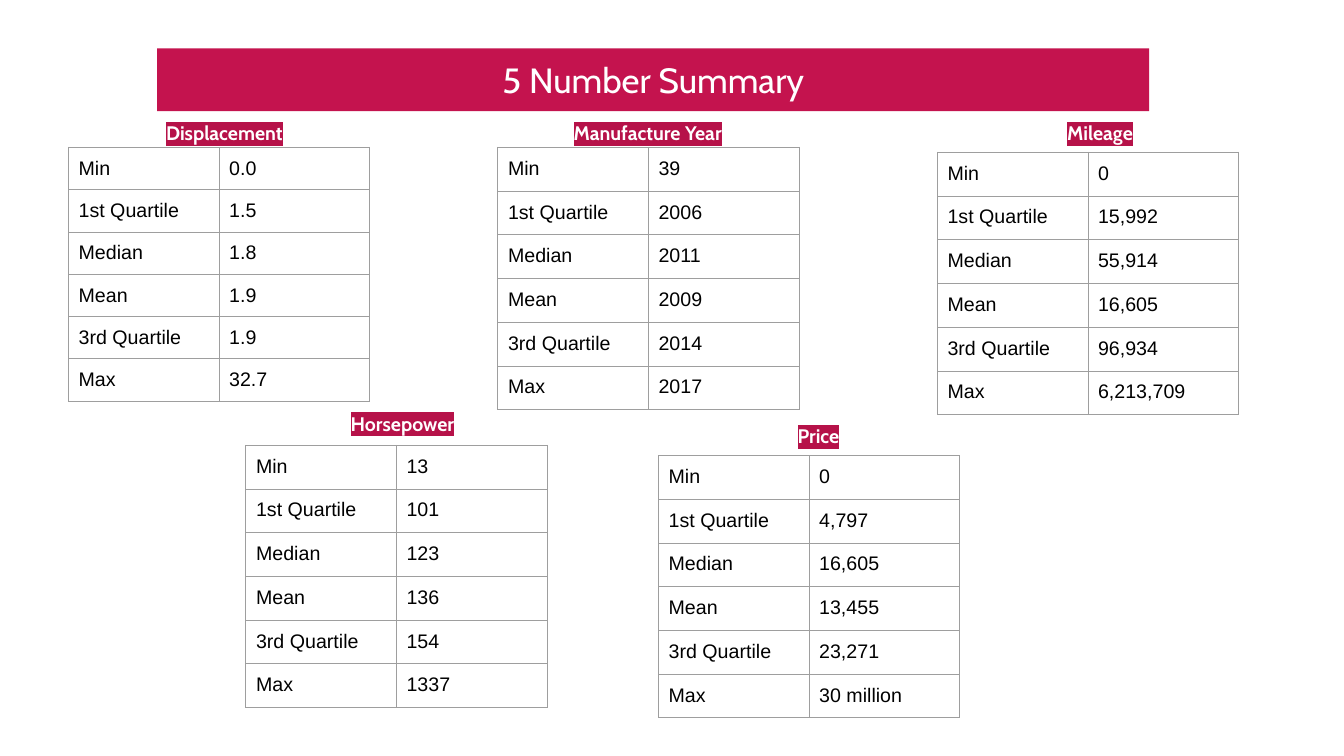
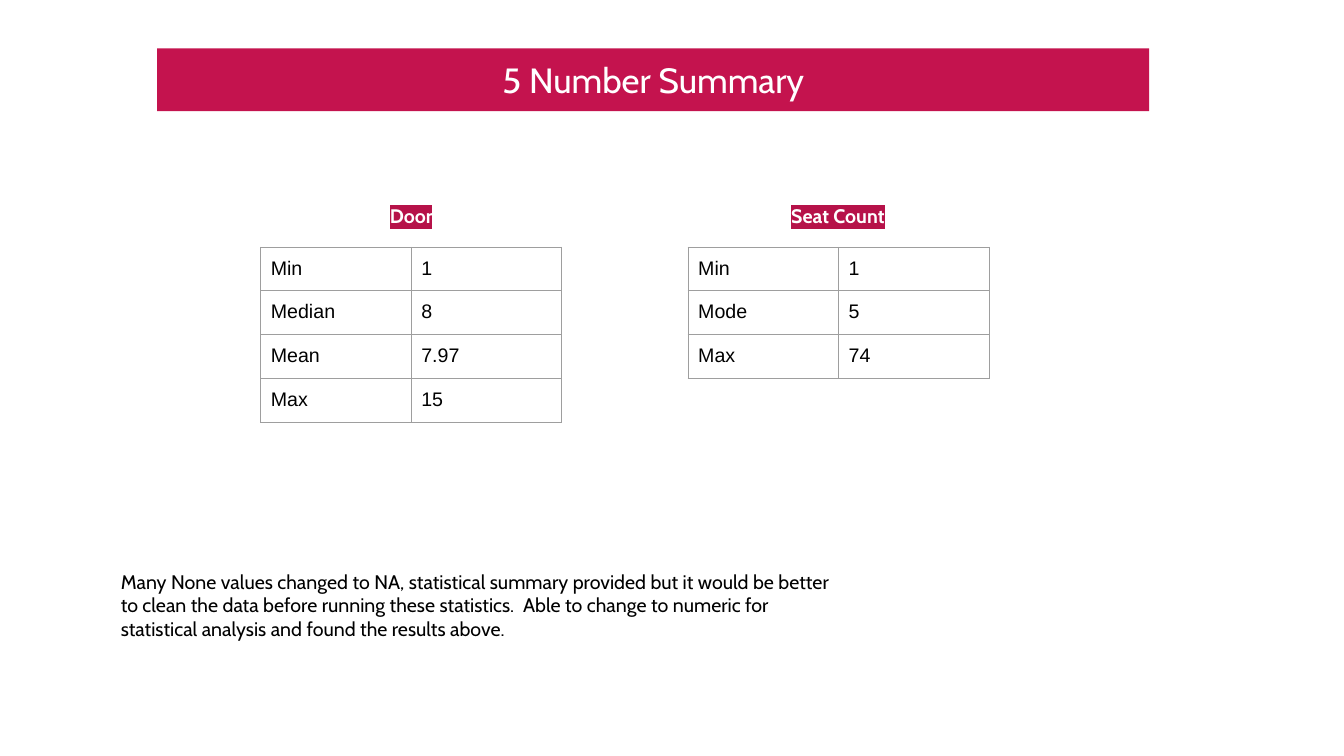
from lxml.etree import SubElement
from pptx import Presentation
from pptx.dml.color import RGBColor
from pptx.enum.shapes import MSO_SHAPE
from pptx.enum.text import MSO_ANCHOR, MSO_AUTO_SIZE, PP_ALIGN
from pptx.oxml import parse_xml
from pptx.oxml.ns import nsdecls, qn
from pptx.util import Inches, Pt


def tint(code):
    """Turn a hex string into a colour."""
    return RGBColor.from_string(code)


def write(frame, text, font="Cabin", size=14, color="000000", bold=False,
          align=PP_ALIGN.LEFT, mark=None):
    """Put formatted text into a frame, over a marker colour if one is given."""
    frame.word_wrap = True
    para = frame.paragraphs[0]
    para.alignment = align
    run = para.add_run()
    run.text = text
    run.font.size = Pt(size)
    run.font.bold = bold
    run.font.color.rgb = tint(color)
    if mark:
        fill = run.font._element.find(qn("a:solidFill"))
        fill.addnext(parse_xml(
            f'<a:highlight {nsdecls("a")}><a:srgbClr val="{mark}"/></a:highlight>'))
    run.font.name = font


class Deck:
    """Hold the style and the current slide; lengths are percent of the slide."""

    band, label, edge, paper = "C4134E", "B61249", "9E9E9E", "FFFFFF"
    col, row, inset = 11.2, 5.6, Inches(0.1)

    def __init__(self):
        """Start an empty wide deck."""
        self.show = Presentation()
        self.show.slide_width = Inches(13.33)
        self.show.slide_height = Inches(7.5)

    def place(self, x, y, wide, high):
        """Turn shares of the slide into lengths."""
        across, down = self.show.slide_width / 100, self.show.slide_height / 100
        return [int(n) for n in (x * across, y * down, wide * across, high * down)]

    def pad(self, item):
        """Give a frame or cell equal margins."""
        item.margin_left = item.margin_right = self.inset
        item.margin_top = item.margin_bottom = self.inset

    def page(self, title):
        """Add a slide with its title band."""
        self.slide = self.show.slides.add_slide(self.show.slide_layouts[6])
        band = self.slide.shapes.add_shape(
            MSO_SHAPE.RECTANGLE, *self.place(11.7, 6.4, 73.8, 8.3))
        band.shadow.inherit = False
        band.fill.solid()
        band.fill.fore_color.rgb = tint(self.band)
        band.line.fill.background()
        self.pad(band.text_frame)
        band.text_frame.vertical_anchor = MSO_ANCHOR.MIDDLE
        write(band.text_frame, title, size=25, color=self.paper,
              align=PP_ALIGN.CENTER)

    def text(self, x, y, wide, high, words, **style):
        """Add a text box."""
        frame = self.slide.shapes.add_textbox(
            *self.place(x, y, wide, high)).text_frame
        self.pad(frame)
        frame.auto_size = MSO_AUTO_SIZE.SHAPE_TO_FIT_TEXT
        write(frame, words, **style)

    def cell(self, cell, words):
        """Style and fill one table cell."""
        self.pad(cell)
        props = cell._tc.get_or_add_tcPr()
        for side in ("lnL", "lnR", "lnT", "lnB"):
            line = SubElement(props, qn(f"a:{side}"), w=str(Pt(0.75)))
            fill = SubElement(line, qn("a:solidFill"))
            SubElement(fill, qn("a:srgbClr"), val=self.edge)
        cell.fill.solid()
        cell.fill.fore_color.rgb = tint(self.paper)
        write(cell.text_frame, words, font="Arial")

    def table(self, x, y, names, values):
        """Add a table of names and values."""
        size = self.place(x, y, 2 * self.col, len(names) * self.row)
        grid = self.slide.shapes.add_table(len(names), 2, *size).table
        grid.first_row = grid.horz_banding = False
        for r, pair in enumerate(zip(names, values)):
            for c, words in enumerate(pair):
                self.cell(grid.cell(r, c), words)

    def stats(self, head, spot, where, names, values):
        """Add a table with its marked heading."""
        self.table(*where, names, values)
        self.text(*spot, 15.2, 5.9, head, color=self.paper, bold=True,
                  align=PP_ALIGN.CENTER, mark=self.label)


def main():
    """Build and save the deck."""
    deck = Deck()
    title = "5 Number Summary"
    names = ["Min", "1st Quartile", "Median", "Mean", "3rd Quartile", "Max"]

    deck.page(title)
    for head, spot, where, values in [
        ("Displacement", (9.1, 14.7), (5.1, 19.5),
         ["0.0", "1.5", "1.8", "1.9", "1.9", "32.7"]),
        ("Manufacture Year", (40.6, 14.7), (37.05, 19.5),
         ["39", "2006", "2011", "2009", "2014", "2017"]),
        ("Mileage", (74.25, 14.7), (69.75, 20.15),
         ["0", "15,992", "55,914", "16,605", "96,934", "6,213,709"]),
        ("Horsepower", (22.35, 53.1), (18.3, 58.9),
         ["13", "101", "123", "136", "154", "1337"]),
        ("Price", (53.3, 54.8), (49, 60.25),
         ["0", "4,797", "16,605", "13,455", "23,271", "30 million"]),
    ]:
        deck.stats(head, spot, where, names, values)

    deck.page(title)
    deck.stats("Door", (23, 25.7), (19.4, 32.7),
               ["Min", "Median", "Mean", "Max"], ["1", "8", "7.97", "15"])
    deck.stats("Seat Count", (54.75, 25.7), (51.2, 32.7),
               ["Min", "Mode", "Max"], ["1", "5", "74"])
    deck.text(8.25, 74, 55.1, 12.1,
              "Many None values changed to NA, statistical summary provided but "
              "it would be better to clean the data before running these "
              "statistics.  Able to change to numeric for statistical analysis "
              "and found the results above.")
    deck.show.save("out.pptx")


if __name__ == "__main__":
    main()
